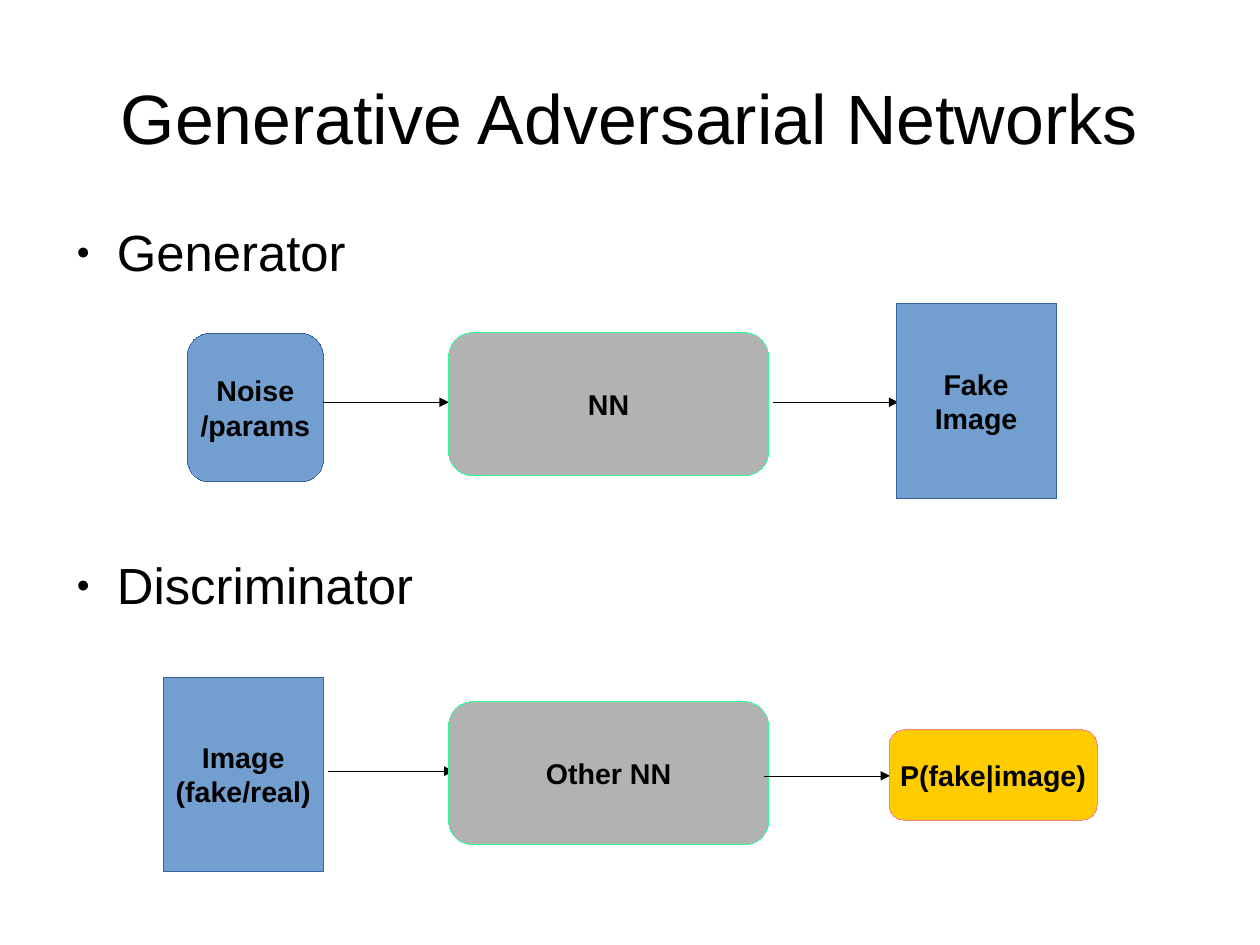
from dataclasses import dataclass

from lxml import etree
from pptx import Presentation
from pptx.dml.color import RGBColor
from pptx.enum import shapes, text
from pptx.oxml import ns
from pptx.util import Pt


@dataclass(frozen=True)
class Theme:
    font: str = "Arial"
    ink: str = "000000"
    data: tuple = ("729FCF", "3465A4")
    network: tuple = ("B2B2B2", "33FF99")
    result: tuple = ("FFCC00", "FF8080")
    title: float = 44
    body: float = 32
    label: float = 18
    hairline: float = 0


THEME = Theme()
RECT = shapes.MSO_SHAPE.RECTANGLE
ROUND = shapes.MSO_SHAPE.ROUNDED_RECTANGLE
IMAGE_SIZE = (100.8, 122.4)
NETWORK_SIZE = (201.6, 90)
NETWORK_LEFT = 282.6
ARROW_LENGTH = 79.2


def set_all(target, values):
    for name, value in values.items():
        setattr(target, name, value)


def add_xml(parent, tag, **attributes):
    return etree.SubElement(parent, ns.qn(tag), attributes)


def format_font(p, size, bold=False):
    set_all(p.font, {"name": THEME.font, "size": Pt(size), "bold": bold})
    p.font.color.rgb = RGBColor.from_string(THEME.ink)


def format_frame(tf, anchor, wrap, margins=(0, 0)):
    side, end = (Pt(m) for m in margins)
    set_all(tf, {
        "auto_size": text.MSO_AUTO_SIZE.NONE,
        "vertical_anchor": anchor,
        "word_wrap": wrap,
        "margin_left": side,
        "margin_right": side,
        "margin_top": end,
        "margin_bottom": end,
    })


def format_line(sp, colour):
    sp.line.color.rgb = RGBColor.from_string(colour)
    ln = sp._element.spPr.find(ns.qn("a:ln"))
    ln.set("w", str(Pt(THEME.hairline)))
    return ln


def place(sp, left, top, width, height):
    set_all(sp, {"left": Pt(left), "top": Pt(top),
                 "width": Pt(width), "height": Pt(height)})


def fill_title(sp, wording):
    place(sp, 39.6, 23.8, 714.2, 99.4)
    tf = sp.text_frame
    format_frame(tf, text.MSO_ANCHOR.MIDDLE, True)
    tf.text = wording
    p = tf.paragraphs[0]
    p.alignment = text.PP_ALIGN.CENTER
    format_font(p, THEME.title)


def add_bullet(p):
    pPr = p._p.get_or_add_pPr()
    pPr.set("marL", str(Pt(34)))
    pPr.set("indent", str(Pt(-25.5)))
    colour = add_xml(pPr, "a:buClr")
    add_xml(colour, "a:srgbClr", val=THEME.ink)
    add_xml(pPr, "a:buSzPct", val="45000")
    add_xml(pPr, "a:buFont", typeface=THEME.font)
    add_xml(pPr, "a:buChar", char="●")


def fill_list(sp, items, gap):
    place(sp, 39.6, 139, 714.2, 344.9)
    tf = sp.text_frame
    format_frame(tf, text.MSO_ANCHOR.TOP, True)
    tf.text = "\n".join(items)
    for i, p in enumerate(tf.paragraphs):
        add_bullet(p)
        set_all(p, {"space_before": Pt(gap if i else 0),
                    "space_after": Pt(0), "line_spacing": 1.0})
        format_font(p, THEME.body)


def add_box(s, kind, wording, position, size, colours):
    sp = s.shapes.add_shape(kind, *(Pt(v) for v in (*position, *size)))
    sp.shadow.inherit = False
    fill, line = colours
    sp.fill.solid()
    sp.fill.fore_color.rgb = RGBColor.from_string(fill)
    format_line(sp, line)
    tf = sp.text_frame
    format_frame(tf, text.MSO_ANCHOR.MIDDLE, False, (7.2, 3.6))
    tf.text = wording
    for p in tf.paragraphs:
        p.alignment = text.PP_ALIGN.CENTER
        format_font(p, THEME.label, bold=True)


def add_network(s, wording, top):
    add_box(s, ROUND, wording, (NETWORK_LEFT, top), NETWORK_SIZE, THEME.network)


def add_image(s, wording, left, top):
    add_box(s, RECT, wording, (left, top), IMAGE_SIZE, THEME.data)


def add_arrow(s, left, y):
    line = s.shapes.add_connector(
        shapes.MSO_CONNECTOR.STRAIGHT,
        Pt(left), Pt(y), Pt(left + ARROW_LENGTH), Pt(y))
    ln = format_line(line, THEME.ink)
    add_xml(ln, "a:tailEnd", type="triangle")
    add_xml(line._element.spPr, "a:effectLst")


def draw_generator(s):
    add_box(s, ROUND, "Noise\n/params", (118, 210), (85.7, 93.6), THEME.data)
    add_arrow(s, 203.6, 253.4)
    add_network(s, "NN", 209.5)
    add_arrow(s, 486.7, 253.4)
    add_image(s, "Fake\nImage", 564.5, 191.5)


def draw_discriminator(s):
    add_image(s, "Image\n(fake/real)", 102.8, 426.6)
    add_arrow(s, 206.6, 485.8)
    add_network(s, "Other NN", 442)
    add_arrow(s, 481.5, 488.7)
    add_box(s, ROUND, "P(fake|image)", (560.1, 459.7), (131, 56.9), THEME.result)


def main():
    prs = Presentation()
    prs.slide_width = Pt(793.7)
    prs.slide_height = Pt(595.28)
    s = prs.slides.add_slide(prs.slide_layouts[1])
    fill_title(s.shapes.title, "Generative Adversarial Networks")
    fill_list(s.placeholders[1], ["Generator", "Discriminator"], gap=171.5)
    draw_generator(s)
    draw_discriminator(s)
    prs.save("out.pptx")


if __name__ == "__main__":
    main()
